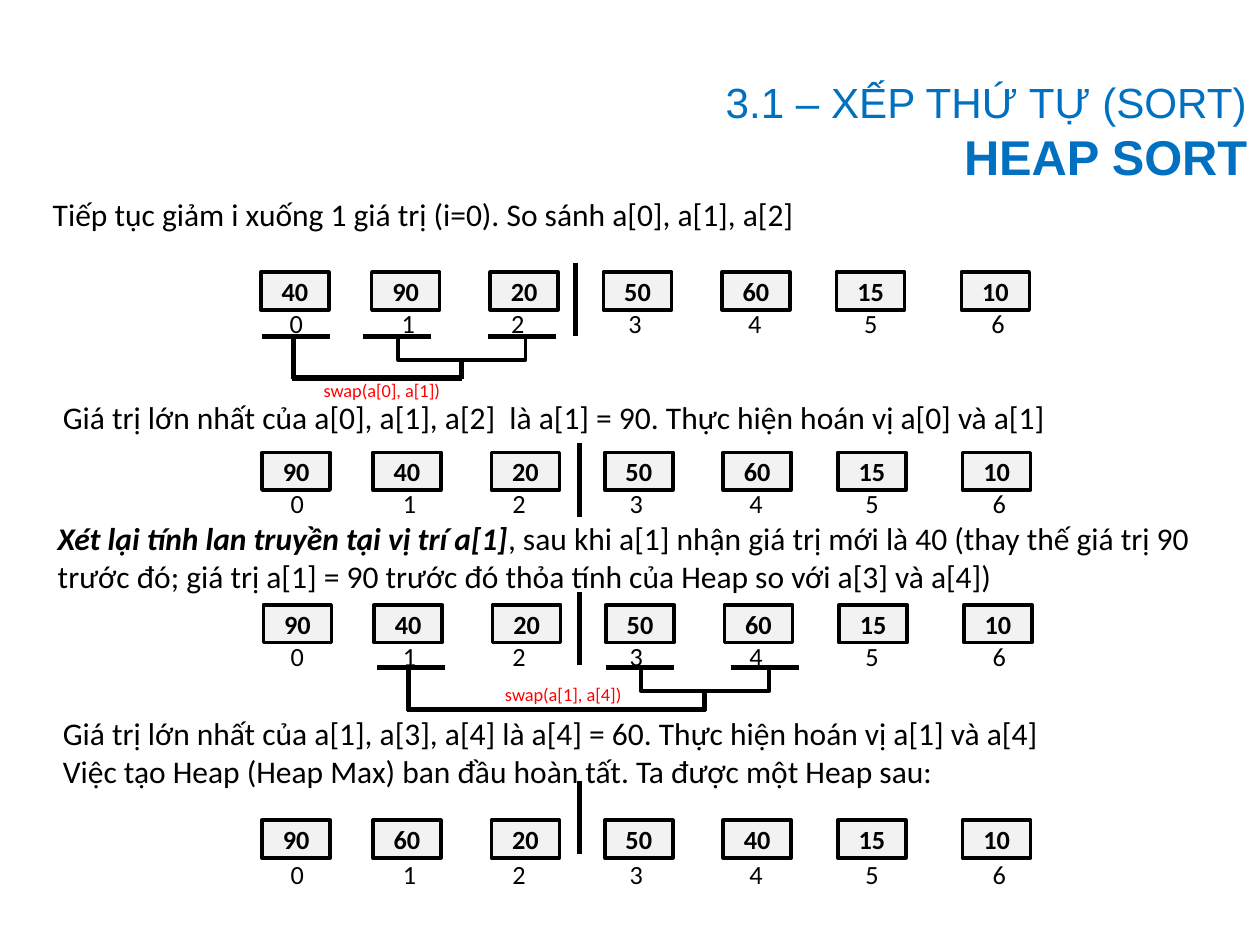
from lxml import etree
from pptx import Presentation
from pptx import util as u
from pptx.dml.color import RGBColor
from pptx.enum import shapes, text
from pptx.oxml.ns import qn

INK, RED, BLUE, GRAY = "000000", "FF0000", "0070C0", "F2F2F2"
KIND = shapes.MSO_CONNECTOR
ALIGN = text.PP_ALIGN

deck = Presentation()
deck.slide_width, deck.slide_height = u.Inches(10), u.Inches(7.5)
page = deck.slides.add_slide(deck.slide_layouts[5])
draw = page.shapes


def write(shape, *paras, size=18, color=INK, font="Calibri", align=ALIGN.LEFT, bold=False):
    """Each paragraph is a list of (words, overrides) runs."""
    frame = shape.text_frame
    frame.word_wrap = True
    frame.auto_size = text.MSO_AUTO_SIZE.NONE
    frame.vertical_anchor = text.MSO_ANCHOR.MIDDLE
    for i, runs in enumerate(paras):
        para = frame.add_paragraph() if i else frame.paragraphs[0]
        para.alignment = align
        for words, extra in runs:
            run = para.add_run()
            run.text = words
            face = run.font
            face.name, face.size, face.bold = font, u.Pt(extra.get("size", size)), extra.get("bold", bold)
            face.italic = extra.get("italic", False)
            face.color.rgb = RGBColor.from_string(color)


def link(x1, y1, x2, y2, width=3, kind=KIND.STRAIGHT):
    line = draw.add_connector(kind, *map(u.Inches, (x1, y1, x2, y2)))
    line.line.width = u.Pt(width)
    line.line.color.rgb = RGBColor.from_string(INK)
    etree.SubElement(line._element.spPr, qn("a:effectLst"))
    return line


# Title
head = draw.title
head.left, head.top, head.width, head.height = map(u.Inches, (0, 0.5, 10, 1.08))
write(head, [("3.1 – XẾP THỨ TỰ (SORT)", {})],
      [("HEAP SORT", {"size": 27.9, "bold": True})],
      size=24.1, color=BLUE, font="Arial", align=ALIGN.RIGHT)

# Array states: values, left shift, box top, index top, divider x and top
cols = [2.07, 2.95, 3.89, 4.79, 5.73, 6.64, 7.63]
marks = [1.89, 2.78, 3.65, 4.58, 5.53, 6.45, 7.46]
states = [
    ([40, 90, 20, 50, 60, 15, 10], 0, 2.16, 2.48, 4.57, 2.09),
    ([90, 40, 20, 50, 60, 15, 10], 0.01, 3.59, 3.91, 4.6, 3.52),
    ([90, 40, 20, 50, 60, 15, 10], 0.02, 4.8, 5.12, 4.6, 4.7),
    ([90, 60, 20, 50, 40, 15, 10], 0.01, 6.51, 6.85, 4.6, 6.2),
]
for values, shift, top, low, bar, high in states:
    for i, (value, x, mark) in enumerate(zip(values, cols, marks)):
        cell = draw.add_shape(shapes.MSO_SHAPE.RECTANGLE, *map(u.Inches, (x + shift, top, 0.54, 0.3)))
        cell.shadow.inherit = False
        cell.fill.solid()
        cell.fill.fore_color.rgb = RGBColor.from_string(GRAY)
        cell.line.color.rgb = RGBColor.from_string(INK)
        cell.line.width = u.Pt(2)
        write(cell, [(str(value), {})], size=15, bold=True, align=ALIGN.CENTER)
        index = draw.add_textbox(*map(u.Inches, (mark + min(shift, 0.01), low, 0.92, 0.17)))
        write(index, [(str(i), {})], size=15, align=ALIGN.CENTER)
    link(bar, high, bar, high + 0.58)

# Brackets from a parent to its two children: bar lefts and height
for parent, left, right, y in [(2.08, 2.88, 3.87, 2.67), (2.99, 4.81, 5.8, 5.3)]:
    for x in (parent, left, right):
        link(x + 0.54, y, x, y)
    # A flat elbow turned by 270 degrees gives the U between the children
    x = left + 0.78
    elbow = link(x + 0.01, y - 0.51, x, y + 0.5, 2.25, KIND.ELBOW)
    elbow._element.spPr.find(qn("a:xfrm")).set("rot", "16200000")
    geom = elbow._element.spPr.find(qn("a:prstGeom"))
    guides = geom.find(qn("a:avLst"))
    if guides is None:
        guides = etree.SubElement(geom, qn("a:avLst"))
    etree.SubElement(guides, qn("a:gd"), name="adj1", fmla="val 2000000")
    stem, base = parent + 0.25, y + 0.33
    link(stem, y, stem, base + 0.01)
    link(stem - 0.01, base, x + 0.01, base)
    link(x, base + 0.01, x, y + 0.2)

# Explanations
notes = [
    (0.32, 1.42, 0.56, [[("Tiếp tục giảm i xuống 1 giá trị (i=0). So sánh a[0], a[1], a[2]", {})]]),
    (0.4, 3.03, 0.56, [[("Giá trị lớn nhất của a[0], a[1], a[2]  là a[1] = 90. "
                         "Thực hiện hoán vị a[0] và a[1]", {})]]),
    (0.36, 4.14, 0.56, [[("Xét lại tính lan truyền tại vị trí a[1]", {"bold": True, "italic": True}),
                         (", sau khi a[1] nhận giá trị mới là 40 (thay thế giá trị 90 trước đó; "
                          "giá trị a[1] = 90 trước đó thỏa tính của Heap so với a[3] và a[4])", {})]]),
    (0.4, 5.77, 0.39, [[("Giá trị lớn nhất của a[1], a[3], a[4] là a[4] = 60. "
                         "Thực hiện hoán vị a[1] và a[4]", {})],
                       [("Việc tạo Heap (Heap Max) ban đầu hoàn tất. Ta được một Heap sau:", {})]]),
]
for x, y, tall, paras in notes:
    write(draw.add_textbox(*map(u.Inches, (x, y, 9.48, tall))), *paras)

for x, y, words in [(2.47, 2.91, "swap(a[0], a[1])"), (3.91, 5.32, "swap(a[1], a[4])")]:
    write(draw.add_textbox(*map(u.Inches, (x, y, 1.16, 0.38))), [(words, {})], size=10.5, color=RED)

deck.save("out.pptx")
